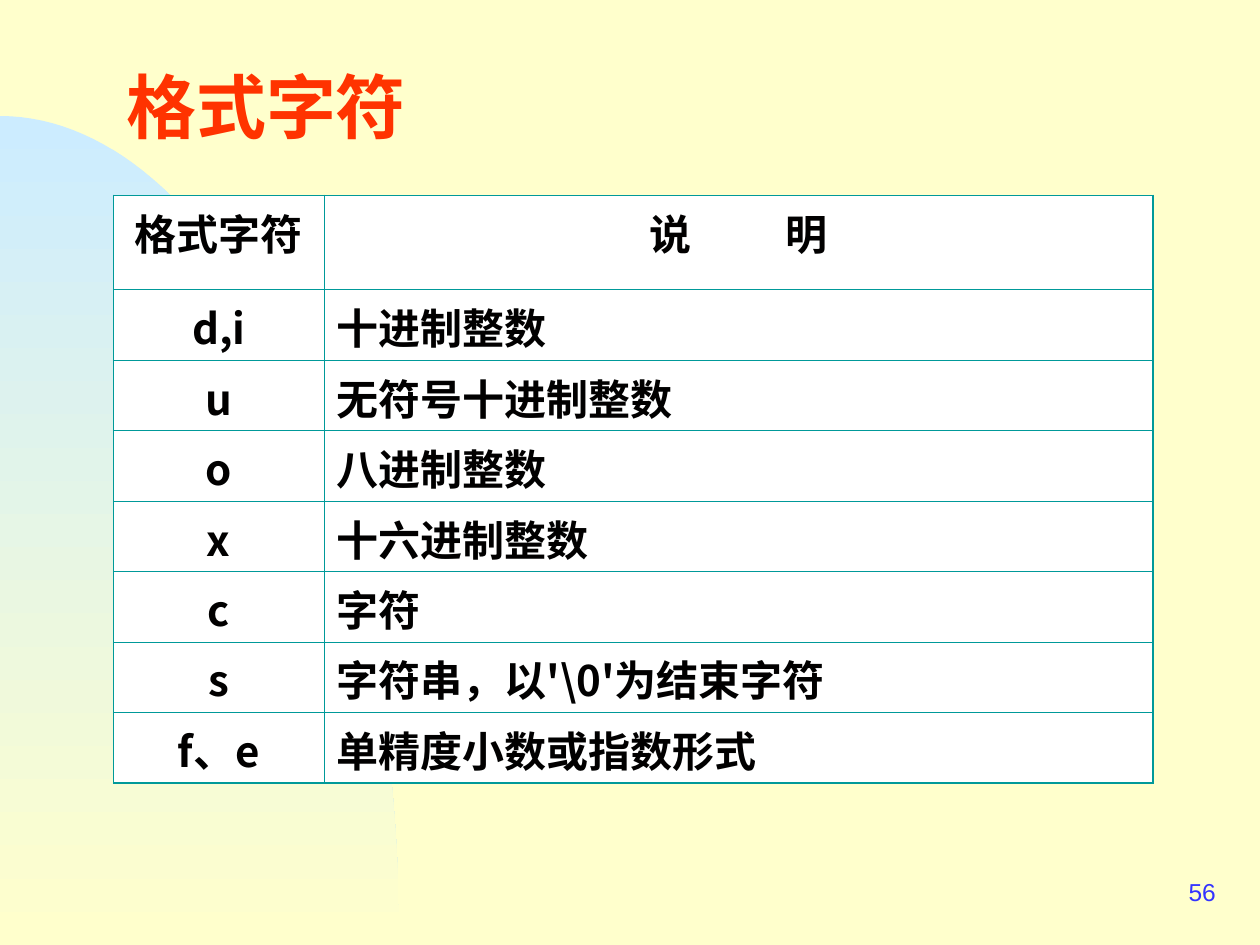
import math

from lxml import etree
from pptx import Presentation
from pptx import util as u
from pptx.dml.color import RGBColor
from pptx.enum import text
from pptx.oxml import ns

CREAM = RGBColor(0xFF, 0xFF, 0xCC)
SKY = RGBColor(0xCC, 0xEC, 0xFF)
RED = RGBColor(0xFF, 0x33, 0x00)
BLUE = RGBColor(0x33, 0x33, 0xFF)
TEAL = RGBColor(0x00, 0x99, 0x99)
BLACK = RGBColor(0x01, 0x00, 0x00)
WHITE = RGBColor(0xFF, 0xFF, 0xFF)

CJK = "Noto Sans CJK SC"
THICK, THIN = u.Pt(1.08), u.Pt(0.45)
HEADER = ("格式字符", "说 明")
FORMATS = [
    ("d,i", "十进制整数"),
    ("u", "无符号十进制整数"),
    ("o", "八进制整数"),
    ("x", "十六进制整数"),
    ("c", "字符"),
    ("s", "字符串，以'\\0'为结束字符"),
    ("f、e", "单精度小数或指数形式"),
]


def format_runs(paragraph, size, color, name=CJK, bold=True):
    for run in paragraph.runs:
        run.font.size = u.Pt(size)
        run.font.bold = bold
        run.font.color.rgb = color
        run.font.name = name
        east_asian = etree.SubElement(run._r.get_or_add_rPr(), ns.qn("a:ea"))
        east_asian.set("typeface", name)


def add_hill(slide):
    width, height, top, steps = u.Cm(8.05), u.Cm(16.71), u.Cm(2.34), 60
    angles = [math.pi / 2 * step / steps for step in range(steps + 1)]
    curve = [
        (round(width * math.sin(a)), round(top + height * (1 - math.cos(a))))
        for a in angles
    ]
    builder = slide.shapes.build_freeform(*curve[0])
    builder.add_line_segments(curve[1:] + [(0, top + height)], close=True)
    hill = builder.convert_to_shape()
    hill.shadow.inherit = False
    hill.line.fill.background()
    hill.fill.gradient()
    hill.fill.gradient_angle = 270
    for stop, color, position in zip(hill.fill.gradient_stops, (SKY, CREAM), (0, 1)):
        stop.color.rgb = color
        stop.position = position
    slide.shapes._spTree.insert(2, hill._element)


def set_title(slide):
    title = slide.shapes.title
    title.left, title.top = u.Cm(2.29), u.Cm(0.53)
    title.width, title.height = u.Cm(21.16), u.Cm(3.18)
    title.text_frame.text = "格式字符"
    title.text_frame.vertical_anchor = text.MSO_ANCHOR.MIDDLE
    heading = title.text_frame.paragraphs[0]
    heading.alignment = text.PP_ALIGN.LEFT
    format_runs(heading, 40, RED)


def add_page_number(slide):
    box = slide.shapes.add_textbox(u.Cm(19.48), u.Cm(17.35), u.Cm(5.28), u.Cm(1.27))
    frame = box.text_frame
    frame.word_wrap = True
    frame.vertical_anchor = text.MSO_ANCHOR.MIDDLE
    frame.text = "56"
    number = frame.paragraphs[0]
    number.alignment = text.PP_ALIGN.RIGHT
    format_runs(number, 14, BLUE, "Arial", False)


def set_borders(cell, widths):
    properties = cell._tc.get_or_add_tcPr()
    for side, width in widths.items():
        line = etree.SubElement(properties, ns.qn(f"a:ln{side}"), w=str(width))
        fill = etree.SubElement(line, ns.qn("a:solidFill"))
        etree.SubElement(fill, ns.qn("a:srgbClr"), val=str(TEAL))


def spread_words(paragraph, gap):
    first, last = paragraph.text.split()
    paragraph.text = first
    space = paragraph.add_run()
    space.text = " "
    space._r.get_or_add_rPr().set("spc", str(gap * 100))
    paragraph.add_run().text = last


def add_format_table(slide):
    rows = [HEADER] + FORMATS
    table = slide.shapes.add_table(
        len(rows), 2, u.Cm(2.29), u.Cm(3.94), u.Cm(20.95), u.Cm(11.84)
    ).table
    table.first_row = table.horz_banding = False
    table.columns[0].width, table.columns[1].width = u.Cm(4.24), u.Cm(16.71)
    last = len(rows) - 1
    for r, labels in enumerate(rows):
        table.rows[r].height = u.Cm(1.42 if r else 1.9)
        for c, label in enumerate(labels):
            cell = table.cell(r, c)
            set_borders(cell, {
                "L": THIN if c else THICK,
                "R": THICK if c else THIN,
                "T": THIN if r else THICK,
                "B": THICK if r == last else THIN,
            })
            cell.fill.solid()
            cell.fill.fore_color.rgb = WHITE
            cell.text_frame.text = label
            entry = cell.text_frame.paragraphs[0]
            centred = r == 0 or c == 0
            entry.alignment = text.PP_ALIGN.CENTER if centred else text.PP_ALIGN.LEFT
            if label == HEADER[1]:
                spread_words(entry, 48)
            format_runs(entry, 24, BLACK)


def main():
    deck = Presentation()
    deck.slide_width, deck.slide_height = u.Cm(25.4), u.Cm(19.05)
    slide = deck.slides.add_slide(deck.slide_layouts[5])
    slide.background.fill.solid()
    slide.background.fill.fore_color.rgb = CREAM
    add_hill(slide)
    set_title(slide)
    add_page_number(slide)
    add_format_table(slide)
    deck.save("out.pptx")


if __name__ == "__main__":
    main()
